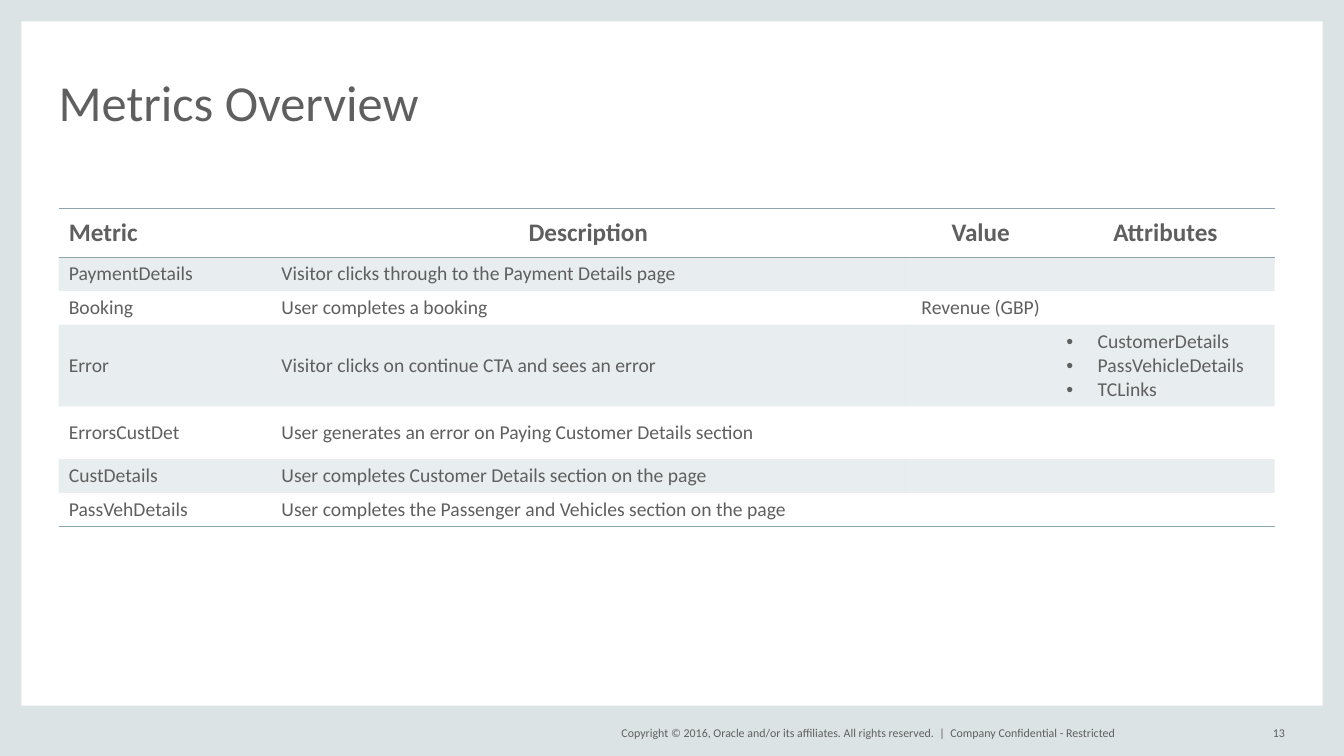
import pptx
import pptx.dml.color
import pptx.enum.shapes
import pptx.enum.text
import pptx.oxml
import pptx.oxml.ns
import pptx.util

Cm, Pt = pptx.util.Cm, pptx.util.Pt
ALIGN = pptx.enum.text.PP_ALIGN
ANCHOR = pptx.enum.text.MSO_ANCHOR
COLORS = {"frame": "DCE3E4", "text": "5F5F5F", "rule": "8DA6B1"}
PLAIN = "{2D5ABB26-0587-4C30-8999-92F81FD0307C}"
WIDE, HIGH = 33.87, 19.05


def node(xml):
    """Build one element that uses the a: prefix."""
    head, tail = xml.split(">", 1)
    slash = "/" if head.endswith("/") else ""
    head = head.rstrip("/")
    return pptx.oxml.parse_xml(f"{head} {pptx.oxml.ns.nsdecls('a')}{slash}>{tail}")


class Page:
    def __init__(self, slide, font="Calibri"):
        self.slide = slide
        self.font = font

    def color(self, name):
        return pptx.dml.color.RGBColor.from_string(COLORS[name])

    def bar(self, *box):
        kind = pptx.enum.shapes.MSO_SHAPE.RECTANGLE
        shape = self.slide.shapes.add_shape(kind, *map(Cm, box))
        shape.shadow.inherit = False
        shape.fill.solid()
        shape.fill.fore_color.rgb = self.color("frame")
        shape.line.fill.background()

    def add_text(self, para, text, size, bold=False):
        run = para.add_run()
        run.text = text
        font = run.font
        font.name, font.size, font.bold = self.font, Pt(size), bold
        font.color.rgb = self.color("text")

    def label(self, box, text, size, align=ALIGN.LEFT, anchor=ANCHOR.MIDDLE, space=1.0):
        frame = self.slide.shapes.add_textbox(*map(Cm, box)).text_frame
        frame.margin_left = frame.margin_right = 0
        frame.margin_top = frame.margin_bottom = 0
        frame.word_wrap = True
        frame.vertical_anchor = anchor
        para = frame.paragraphs[0]
        para.alignment, para.line_spacing = align, space
        self.add_text(para, text, size)

    def edge(self, cell, sides):
        """Rule the given sides of a cell, T before B."""
        props = cell._tc.get_or_add_tcPr()
        for side in sides:
            props.append(node(
                f'<a:ln{side} w="12700"><a:solidFill><a:srgbClr val="{COLORS["rule"]}"/>'
                f'</a:solidFill></a:ln{side}>'))

    def tint(self, cell):
        cell.fill.solid()
        cell.fill.fore_color.rgb = self.color("rule")
        shade = cell._tc.tcPr.find(".//" + pptx.oxml.ns.qn("a:srgbClr"))
        shade.append(node('<a:alpha val="20000"/>'))

    def fill(self, cell, text, size, bold, align):
        """Put text in a cell; a list of texts becomes bullets."""
        cell.vertical_anchor = ANCHOR.MIDDLE
        frame = cell.text_frame
        lines = text if isinstance(text, list) else [text]
        for i, line in enumerate(lines):
            para = frame.add_paragraph() if i else frame.paragraphs[0]
            para.alignment = align
            if text is lines:
                props = para._p.get_or_add_pPr()
                props.set("marL", str(Cm(0.79)))
                props.set("indent", str(-Cm(0.79)))
                props.append(node('<a:buFont typeface="Arial"/>'))
                props.append(node('<a:buChar char="•"/>'))
            if line:
                self.add_text(para, line, size, bold)
            else:
                para._p.append(node(f'<a:endParaRPr sz="{size * 100}"/>'))

    def table(self, left, top, cols, highs, rows):
        shape = self.slide.shapes.add_table(
            len(rows), len(cols), Cm(left), Cm(top), Cm(sum(cols)), Cm(sum(highs)))
        grid = shape.table
        grid.first_row = grid.horz_banding = False
        grid._tbl.tblPr.find(pptx.oxml.ns.qn("a:tableStyleId")).text = PLAIN
        for col, wide in zip(grid.columns, cols):
            col.width = Cm(wide)
        for r, (row, high) in enumerate(zip(rows, highs)):
            grid.rows[r].height = Cm(high)
            for c, text in enumerate(row):
                cell = grid.cell(r, c)
                head = r == 0
                mid = c == 2 or head and c > 0
                self.fill(cell, text, 18 if head else 14, head,
                          ALIGN.CENTER if mid else ALIGN.LEFT)
                if head:
                    self.edge(cell, "TB")
                elif r == len(rows) - 1:
                    self.edge(cell, "B")
                if r % 2:
                    self.tint(cell)
                else:
                    cell.fill.background()


ROWS = [
    ["Metric", "Description", "Value", "Attributes"],
    ["PaymentDetails", "Visitor clicks through to the Payment Details page", "", ""],
    ["Booking", "User completes a booking", "Revenue (GBP)", ""],
    ["Error", "Visitor clicks on continue CTA and sees an error", "",
     ["CustomerDetails", "PassVehicleDetails", "TCLinks"]],
    ["ErrorsCustDet", "User generates an error on Paying Customer Details section", "", ""],
    ["CustDetails", "User completes Customer Details section on the page", "", ""],
    ["PassVehDetails", "User completes the Passenger and Vehicles section on the page", "", ""],
]


def main():
    deck = pptx.Presentation()
    deck.slide_width, deck.slide_height = Cm(WIDE), Cm(HIGH)
    page = Page(deck.slides.add_slide(deck.slide_layouts[6]))

    edge, foot = 0.54, 1.27
    for left in (0, WIDE - edge):
        page.bar(left, 0, edge, HIGH)
    page.bar(0, HIGH - foot, WIDE, foot)
    page.bar(0, 0, WIDE, edge)

    page.label((1.48, 1.12, 30.9, 2.18), "Metrics Overview", 36,
               anchor=ANCHOR.BOTTOM, space=0.8)
    page.table(1.48, 5.25, (5.36, 15.97, 3.81, 5.5),
               (1.23, 0.85, 0.85, 2.06, 1.33, 0.85, 0.85), ROWS)

    for left, wide, text, align in (
        (14.93, 8.89, "Copyright © 2016, Oracle and/or its affiliates. "
         "All rights reserved.  |", ALIGN.RIGHT),
        (23.95, 7.3, "Company Confidential - Restricted", ALIGN.LEFT),
        (31.32, 1.06, "13", ALIGN.RIGHT),
    ):
        page.label((left, 18.21, wide, 0.51), text, 8.5, align)
    deck.save("out.pptx")


if __name__ == "__main__":
    main()
